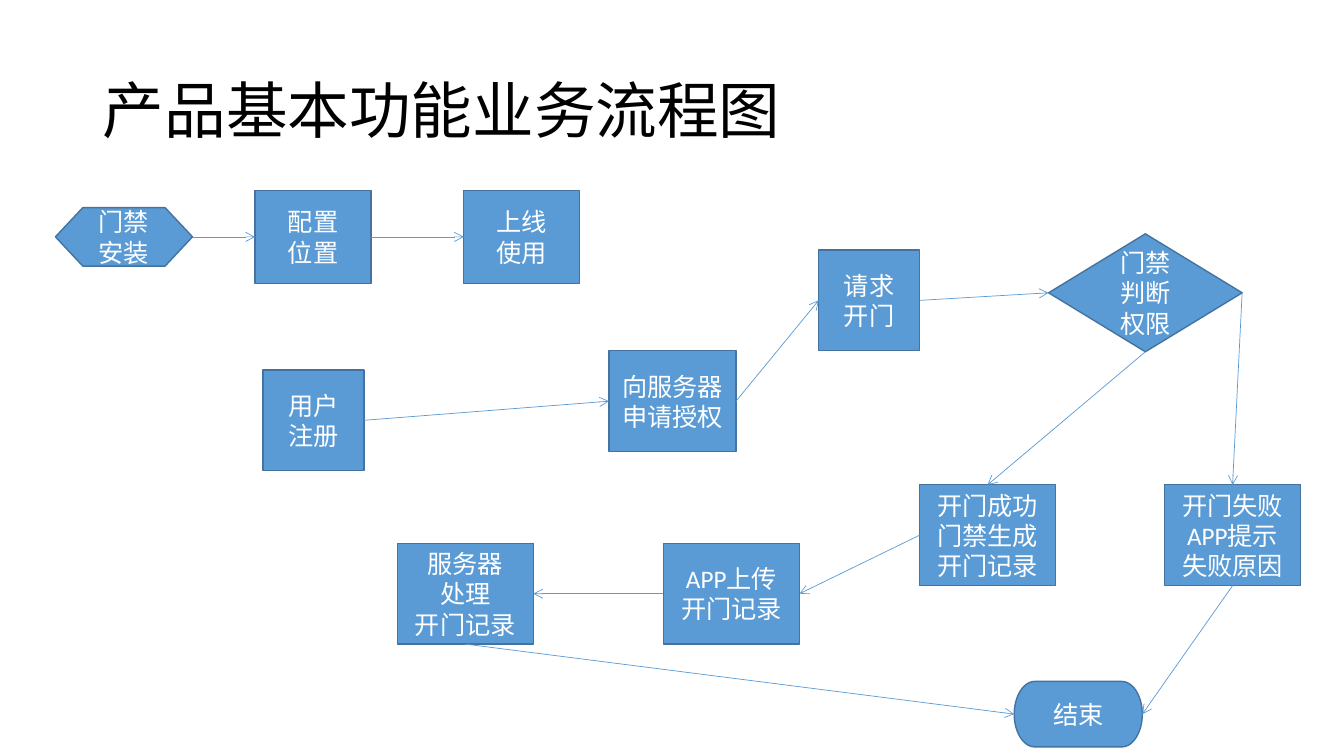
from lxml import etree
from pptx import Presentation
from pptx.dml.color import RGBColor
from pptx.enum.shapes import MSO_CONNECTOR, MSO_SHAPE as SHAPE
from pptx.enum.text import MSO_ANCHOR, PP_ALIGN
from pptx.oxml.ns import qn
from pptx.util import Inches, Pt

FONT = "Calibri"
COLORS = {"fill": "5B9BD5", "border": "43739E", "label": "FFFFFF", "title": "000000"}
TITLE = "产品基本功能业务流程图"

# Step: shape, left, top, width, height, label
STEPS = {
    "configure": (SHAPE.FLOWCHART_PROCESS, 2.53, 1.89, 1.15, 0.92, "配置\n位置"),
    "online": (SHAPE.FLOWCHART_PROCESS, 4.6, 1.89, 1.15, 0.92, "上线\n使用"),
    "register": (SHAPE.RECTANGLE, 2.61, 3.67, 1, 1, "用户\n注册"),
    "authorize": (SHAPE.RECTANGLE, 6.04, 3.48, 1.26, 1, "向服务器申请授权"),
    "request": (SHAPE.RECTANGLE, 8.12, 2.48, 1, 1, "请求\n开门"),
    "check": (SHAPE.FLOWCHART_DECISION, 10.4, 2.32, 1.92, 1.17, "门禁\n判断\n权限"),
    "opened": (SHAPE.RECTANGLE, 9.12, 4.81, 1.35, 1, "开门成功\n门禁生成\n开门记录"),
    "refused": (SHAPE.RECTANGLE, 11.55, 4.81, 1.35, 1, "开门失败\nAPP提示\n失败原因"),
    "upload": (SHAPE.RECTANGLE, 6.58, 5.39, 1.35, 1, "APP上传\n开门记录"),
    "process": (SHAPE.RECTANGLE, 3.94, 5.39, 1.35, 1, "服务器\n处理\n开门记录"),
    "end": (SHAPE.FLOWCHART_TERMINATOR, 10.06, 6.76, 1.27, 0.65, "结束"),
    "install": (SHAPE.FLOWCHART_PREPARATION, 0.55, 2.06, 1.36, 0.58, "门禁\n安装"),
}

# Connection sites shared by all the step shapes
TOP, LEFT, BOTTOM, RIGHT = range(4)
ARROWS = [
    ("install", RIGHT, "configure", LEFT),
    ("configure", RIGHT, "online", LEFT),
    ("register", RIGHT, "authorize", LEFT),
    ("authorize", RIGHT, "request", LEFT),
    ("request", RIGHT, "check", LEFT),
    ("check", BOTTOM, "opened", TOP),
    ("check", RIGHT, "refused", TOP),
    ("refused", BOTTOM, "end", RIGHT),
    ("opened", LEFT, "upload", RIGHT),
    ("upload", LEFT, "process", RIGHT),
    ("process", BOTTOM, "end", LEFT),
]


def color(name):
    return RGBColor.from_string(COLORS[name])


def format_text(frame, size, color_name, align):
    frame.vertical_anchor = MSO_ANCHOR.MIDDLE
    frame.word_wrap = True
    for para in frame.paragraphs:
        para.alignment = align
        for span in para.runs:
            span.font.name = FONT
            span.font.size = Pt(size)
            span.font.color.rgb = color(color_name)


def add_step(page, kind, left, top, width, height, label):
    box = page.shapes.add_shape(kind, *map(Inches, (left, top, width, height)))
    box.shadow.inherit = False
    box.fill.solid()
    box.fill.fore_color.rgb = color("fill")
    box.line.color.rgb = color("border")
    box.line.width = Pt(1)
    box.text_frame.text = label
    format_text(box.text_frame, 18, "label", PP_ALIGN.CENTER)
    return box


def add_arrow(page, source, source_site, target, target_site):
    arrow = page.shapes.add_connector(MSO_CONNECTOR.STRAIGHT, 0, 0, 0, 0)
    arrow.begin_connect(source, source_site)
    arrow.end_connect(target, target_site)
    arrow.line.color.rgb = color("fill")
    arrow.line.width = Pt(0.5)
    etree.SubElement(arrow.line._get_or_add_ln(), qn("a:tailEnd"), type="arrow")
    etree.SubElement(arrow._element.spPr, qn("a:effectLst"))


deck = Presentation()
deck.slide_width, deck.slide_height = Inches(13.33), Inches(7.5)
page = deck.slides.add_slide(deck.slide_layouts[5])

# Title
title = page.shapes.title
title.left, title.top, title.width, title.height = map(Inches, (0.92, 0.4, 11.5, 1.45))
title.text_frame.text = TITLE
title.text_frame.paragraphs[0].line_spacing = 0.9
format_text(title.text_frame, 44, "title", PP_ALIGN.LEFT)

# Flow steps and the arrows between them
boxes = {name: add_step(page, *step) for name, step in STEPS.items()}
for source, source_site, target, target_site in ARROWS:
    add_arrow(page, boxes[source], source_site, boxes[target], target_site)

deck.save("out.pptx")
